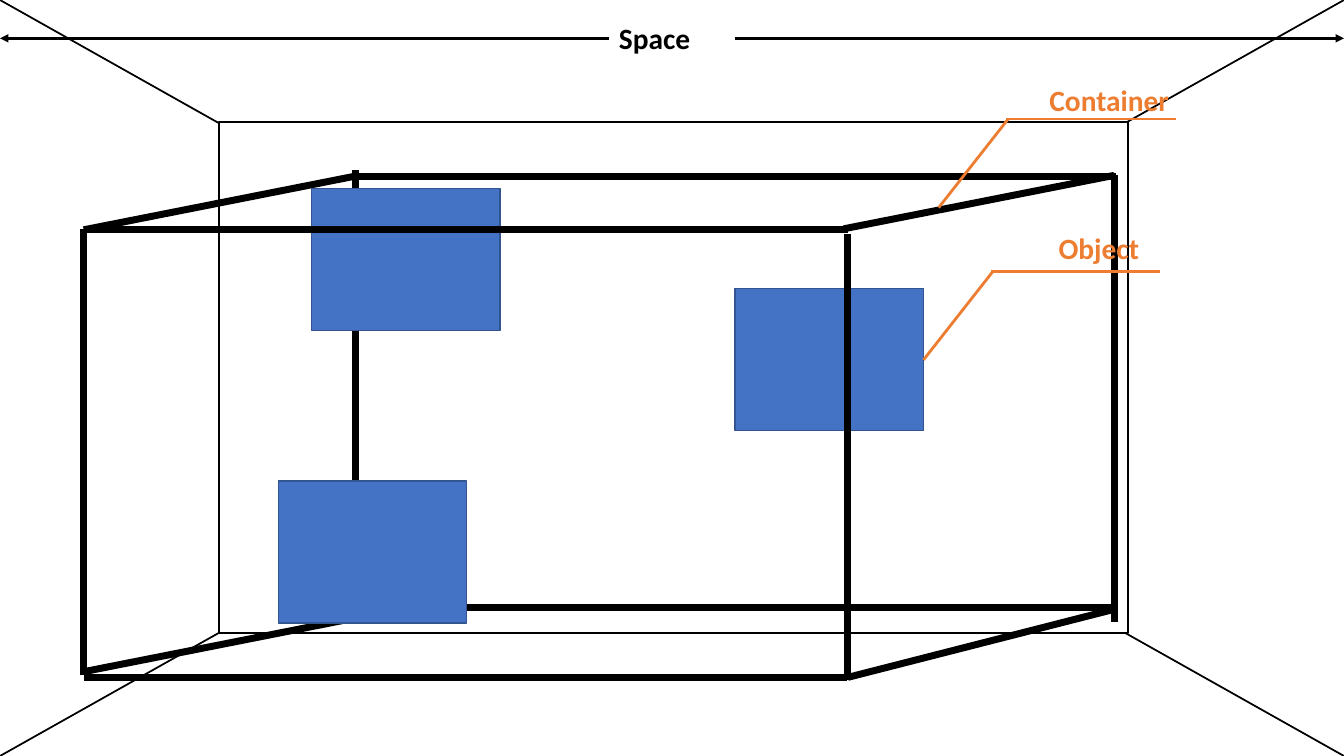
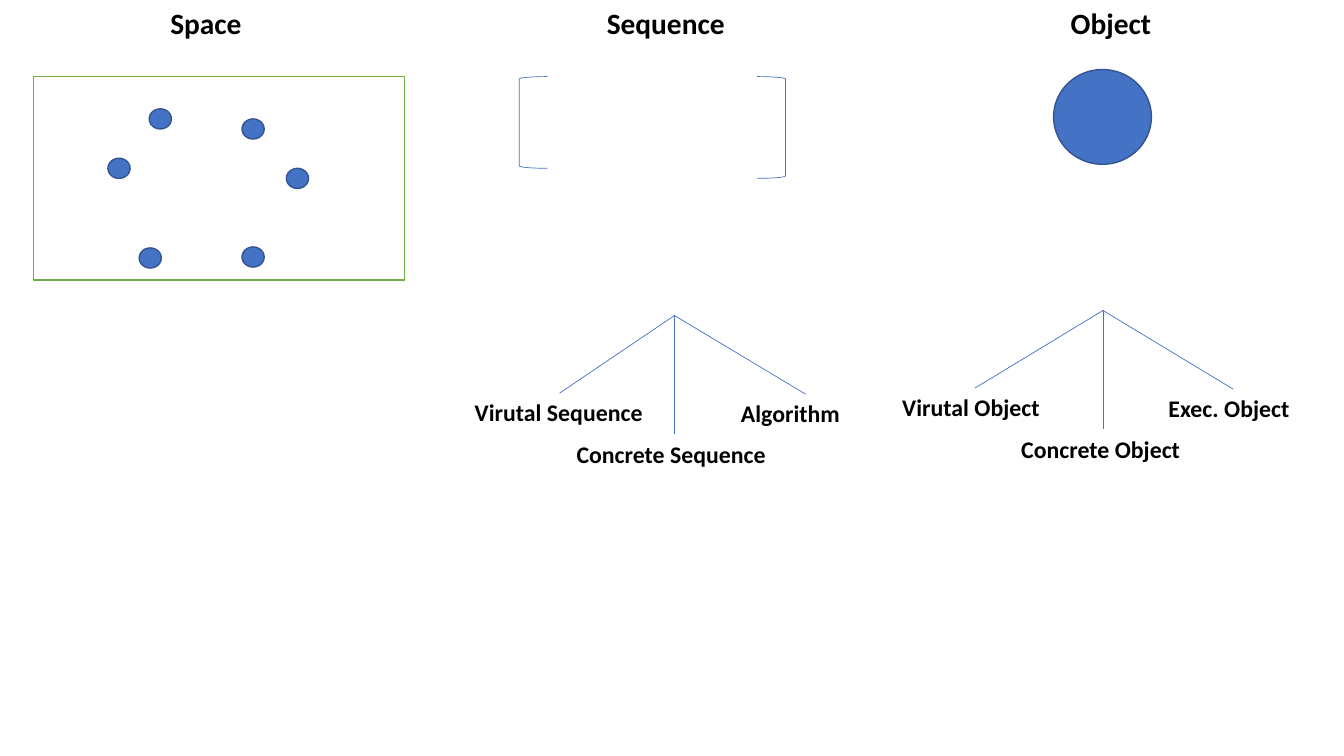
from typing import NamedTuple

from lxml.etree import SubElement
from pptx import Presentation
from pptx.dml.color import RGBColor
from pptx.enum.shapes import MSO_CONNECTOR, MSO_SHAPE
from pptx.enum.text import MSO_AUTO_SIZE
from pptx.oxml.ns import qn
from pptx.util import Inches, Pt

WIDE, HIGH = 13.33, 7.5
COLORS = {
    "black": "000000",
    "white": "FFFFFF",
    "blue": "4472C4",
    "navy": "325491",
    "orange": "ED7D31",
    "green": "70AD47",
}
FONT = {"name": "Calibri", "bold": True}
FRAME = {"word_wrap": True, "auto_size": MSO_AUTO_SIZE.SHAPE_TO_FIT_TEXT}
HEAD, SMALL = 21, 17  # text sizes in points
BOX_H = {HEAD: 0.45, SMALL: 0.39}


class Point(NamedTuple):
    x: float
    y: float


class Pen(NamedTuple):
    color: str
    width: float


class Edge(NamedTuple):
    x1: float
    y1: float
    x2: float
    y2: float


class Box(NamedTuple):
    x: float
    y: float
    w: float
    h: float


class Label(NamedTuple):
    text: str
    x: float
    y: float
    w: float


class Call(NamedTuple):
    tip: Point
    label: Label


class Leaf(NamedTuple):
    text: str
    x: float
    w: float
    dx: float
    dy: float


class Fan(NamedTuple):
    top: Point
    leaves: list[Leaf]


THIN = Pen("black", 1.25)
BAR = Pen("black", 5)
SPAN = Pen("black", 2)
CALL = Pen("orange", 2)
RIM = Pen("navy", 1)
HAIR = Pen("blue", 0.5)


# Drawing tools
def color(key: str) -> RGBColor:
    return RGBColor.from_string(COLORS[key])


def set_all(item, values: dict) -> None:
    for key, value in values.items():
        setattr(item, key, value)


def set_pen(line, pen: Pen) -> None:
    line.color.rgb = color(pen.color)
    line.width = Pt(pen.width)


def add_line(shapes, edge: Edge, pen: Pen, arrow: bool = False) -> None:
    link = shapes.add_connector(MSO_CONNECTOR.STRAIGHT, *map(Inches, edge))
    set_pen(link.line, pen)
    props = link._element.spPr
    if arrow:
        SubElement(props.find(qn("a:ln")), qn("a:tailEnd"), type="triangle")
    SubElement(props, qn("a:effectLst"))


def add_form(shapes, kind: MSO_SHAPE, box: Box, pen: Pen, fill: str = "") -> None:
    form = shapes.add_shape(kind, *map(Inches, box))
    form.shadow.inherit = False
    set_pen(form.line, pen)
    if fill:
        form.fill.solid()
        form.fill.fore_color.rgb = color(fill)
    else:
        form.fill.background()


def add_text(shapes, label: Label, size: int = HEAD, ink: str = "black") -> None:
    box = Box(label.x, label.y, label.w, BOX_H[size])
    frame = shapes.add_textbox(*map(Inches, box)).text_frame
    set_all(frame, FRAME)
    run = frame.paragraphs[0].add_run()
    run.text = label.text
    set_all(run.font, FONT | {"size": Pt(size)})
    run.font.color.rgb = color(ink)


def add_bars(shapes, edges: list[Edge]) -> None:
    for edge in edges:
        add_line(shapes, edge, BAR)


def add_blocks(shapes, spots: list[Point]) -> None:
    for spot in spots:
        box = Box(*spot, 1.87, 1.41)
        add_form(shapes, MSO_SHAPE.RECTANGLE, box, RIM, "blue")


def add_call(shapes, call: Call) -> None:
    x, y = call.tip
    add_line(shapes, Edge(x, y, x + 0.69, y - 0.88), CALL)
    add_line(shapes, Edge(x + 0.67, y - 0.88, x + 2.35, y - 0.88), CALL)
    add_text(shapes, call.label, ink="orange")


def add_fan(shapes, fan: Fan) -> None:
    group = shapes.add_group_shape().shapes
    x, y = fan.top
    for leaf in fan.leaves:
        end = y + leaf.dy
        add_line(group, Edge(x, y, x + leaf.dx, end), HAIR)
        add_text(group, Label(leaf.text, leaf.x, end, leaf.w), SMALL)


# Slide 1: room, container and objects
BACK = [Edge(0.85, 6.66, 3.53, 6.13)]
CAGE = [
    Edge(3.51, 1.75, 11.07, 1.75),
    Edge(0.83, 6.72, 8.4, 6.72),
    Edge(3.51, 6.03, 11.07, 6.03),
    Edge(0.83, 2.28, 3.51, 1.75),
    Edge(8.37, 2.27, 11.05, 1.74),
    Edge(8.41, 6.72, 11.07, 6.04),
    Edge(8.41, 6.75, 8.41, 2.32),
    Edge(11.05, 6.17, 11.05, 1.74),
    Edge(3.53, 6.13, 3.53, 1.69),
]
FRONT = [Edge(0.85, 2.28, 8.41, 2.28), Edge(0.83, 6.7, 0.83, 2.27)]
CALLS = [
    Call(Point(9.16, 3.57), Label("Object", 10.4, 2.23, 1.25)),
    Call(Point(9.31, 2.06), Label("Container", 10.31, 0.77, 1.58)),
]


def draw_room(shapes) -> None:
    # Walls
    add_line(shapes, Edge(WIDE, 0, 0, HIGH), THIN)
    add_line(shapes, Edge(0, 0, WIDE, HIGH), THIN)
    wall = Box(2.17, 1.21, 9.02, 5.07)
    add_form(shapes, MSO_SHAPE.RECTANGLE, wall, THIN, "white")
    # Width of the space
    add_text(shapes, Label("Space", 6.04, 0.15, 1.25))
    for start, end in ((7.29, WIDE), (6.04, 0)):
        add_line(shapes, Edge(start, 0.38, end, 0.38), SPAN, arrow=True)
    # Container around its objects, from back to front
    add_bars(shapes, BACK)
    add_blocks(shapes, [Point(7.29, 2.86)])
    add_bars(shapes, CAGE)
    add_blocks(shapes, [Point(2.76, 4.77), Point(3.09, 1.87)])
    add_bars(shapes, FRONT)
    for call in CALLS:
        add_call(shapes, call)


# Slide 2: three terms and their kinds
TERMS = [
    Label("Space", 1.59, 0, 1.25),
    Label("Sequence", 5.92, 0, 1.5),
    Label("Object", 10.52, 0, 1.15),
]
DOTS = [
    Point(2.4, 1.18),
    Point(1.07, 1.57),
    Point(2.84, 1.67),
    Point(2.4, 2.45),
    Point(1.38, 2.46),
    Point(1.48, 1.08),
]
FANS = [
    Fan(Point(10.94, 3.08), [
        Leaf("Virutal Object", 8.85, 1.63, -1.27, 0.77),
        Leaf("Concrete Object", 10.03, 1.81, 0, 1.18),
        Leaf("Exec. Object", 11.49, 1.47, 1.29, 0.78),
    ]),
    Fan(Point(6.69, 3.13), [
        Leaf("Virutal Sequence", 4.61, 1.88, -1.14, 0.77),
        Leaf("Concrete Sequence", 5.62, 2.13, 0, 1.18),
        Leaf("Algorithm", 7.25, 1.47, 1.3, 0.78),
    ]),
]


def draw_terms(shapes) -> None:
    for term in TERMS:
        add_text(shapes, term)
    # Space with its dots
    area = Box(0.33, 0.76, 3.68, 2.02)
    add_form(shapes, MSO_SHAPE.RECTANGLE, area, Pen("green", 1), "white")
    for dot in DOTS:
        add_form(shapes, MSO_SHAPE.OVAL, Box(*dot, 0.22, 0.2), RIM, "blue")
    # Sequence brackets
    pair = shapes.add_group_shape().shapes
    add_form(pair, MSO_SHAPE.LEFT_BRACKET, Box(5.15, 0.76, 0.28, 0.91), HAIR)
    add_form(pair, MSO_SHAPE.RIGHT_BRACKET, Box(7.51, 0.76, 0.28, 1.01), HAIR)
    # Object disc
    add_form(shapes, MSO_SHAPE.OVAL, Box(10.45, 0.69, 0.97, 0.94), RIM, "blue")
    for fan in FANS:
        add_fan(shapes, fan)


def main() -> None:
    deck = Presentation()
    set_all(deck, {"slide_width": Inches(WIDE), "slide_height": Inches(HIGH)})
    for draw in (draw_room, draw_terms):
        draw(deck.slides.add_slide(deck.slide_layouts[6]).shapes)
    deck.save("out.pptx")


if __name__ == "__main__":
    main()
